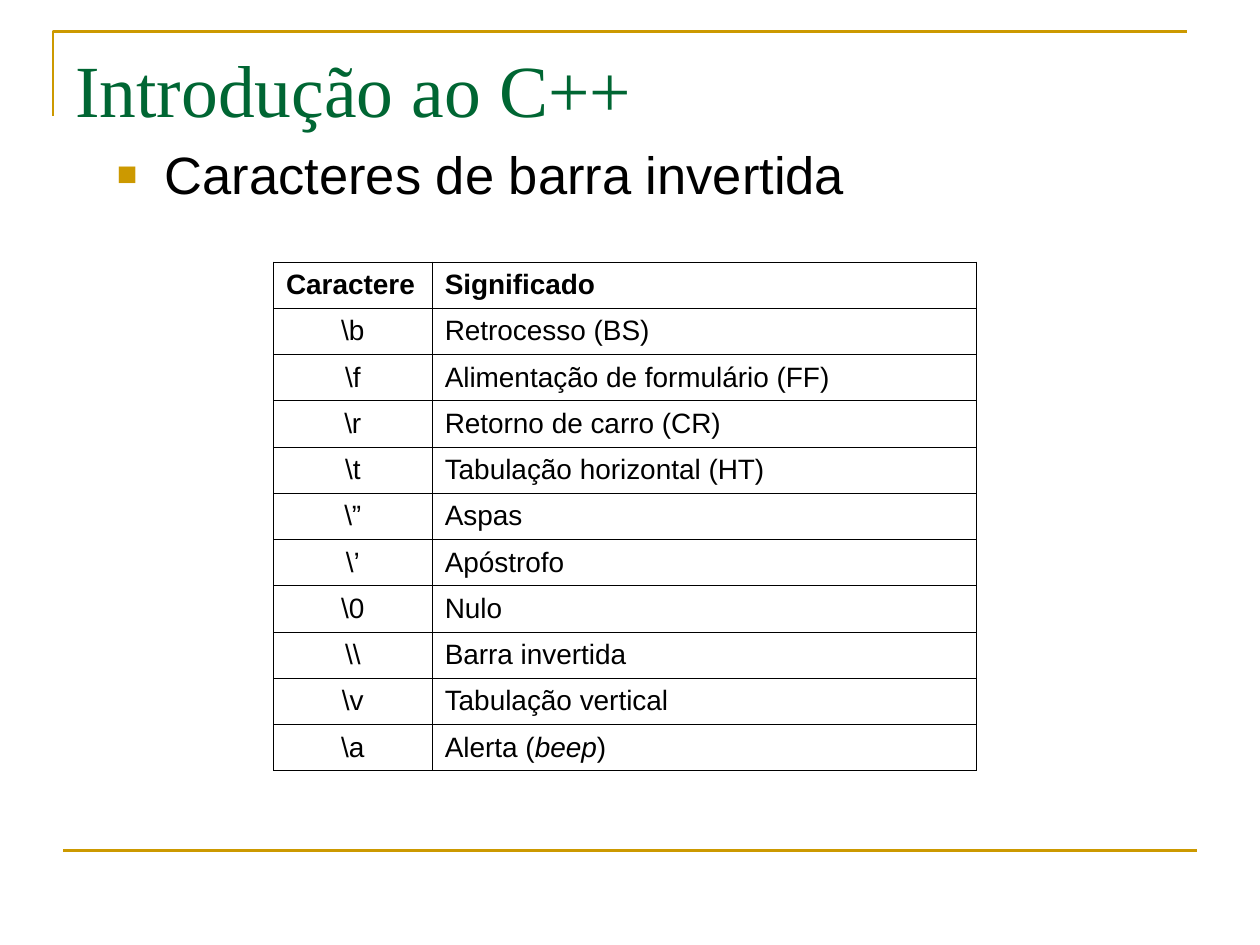
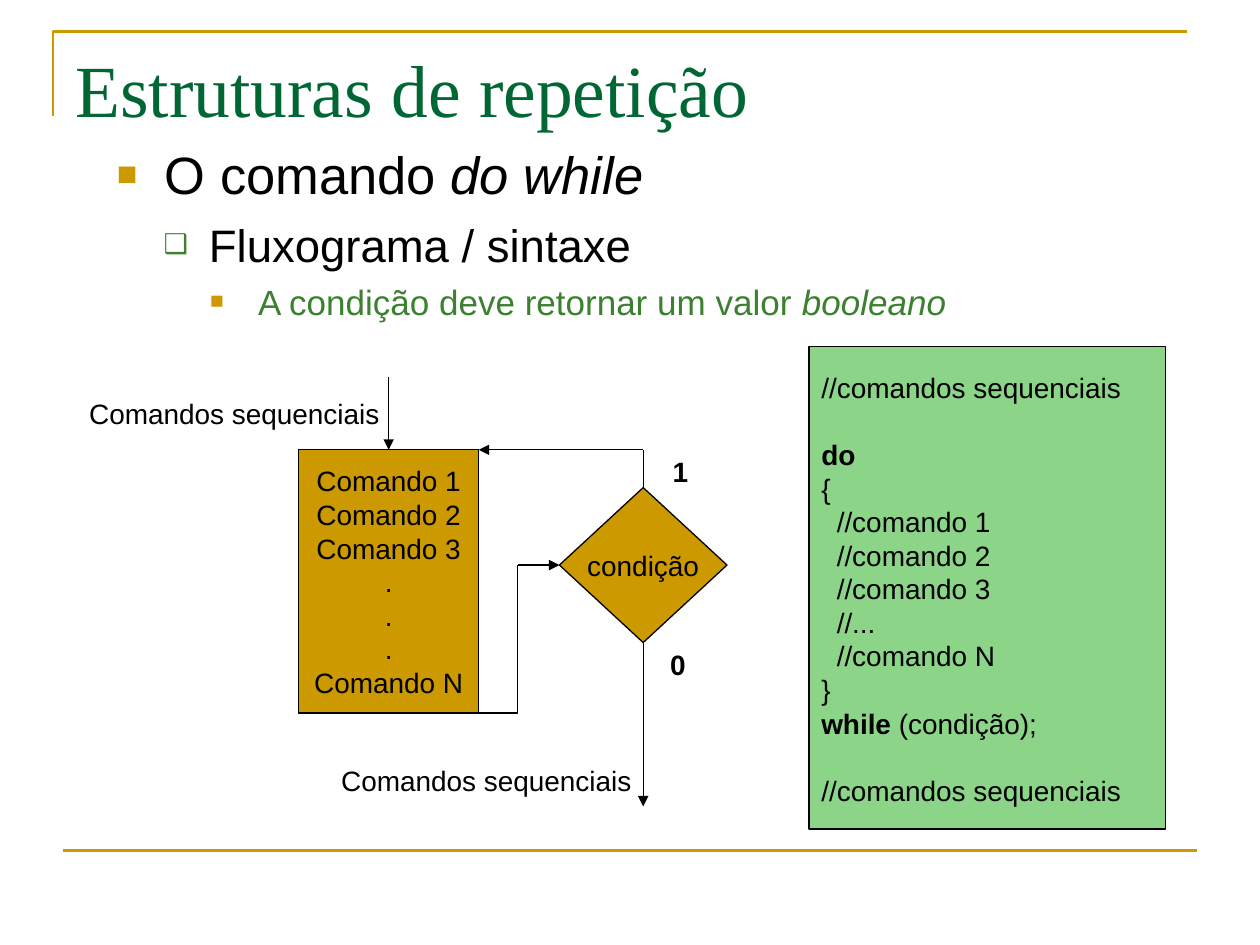
"""Build two C++ course slides: a table of escape characters and the do while flowchart."""
from lxml import etree
from pptx import Presentation
from pptx.dml.color import RGBColor
from pptx.enum.shapes import MSO_CONNECTOR, MSO_SHAPE
from pptx.enum.text import MSO_ANCHOR, PP_ALIGN
from pptx.oxml import parse_xml
from pptx.oxml.ns import nsdecls, qn
from pptx.util import Inches, Pt

GOLD, DARK_GREEN, GREEN, LIGHT_GREEN, BLACK = "CC9900", "006633", "3B812F", "8CD488", "000000"
LINE_HEIGHT = 1.2
CODE_SIZE = 16


def write(paragraph, text, size=CODE_SIZE, color=BLACK, font="Arial", emphasis="italic", align=None):
    """Write text in a paragraph, emphasising the parts between bars."""
    for index, part in enumerate(text.split("|")):
        if part:
            run = paragraph.add_run()
            run.text = part
            run.font.size = Pt(size)
            run.font.name = font
            run.font.color.rgb = RGBColor.from_string(color)
            if index % 2:
                setattr(run.font, emphasis, True)
    paragraph.line_spacing = Pt(round(size * LINE_HEIGHT, 1))
    paragraph.alignment = align


def add_line(slide, start, end, color=BLACK, width=0.75, arrow=True):
    """Draw a straight line, with an arrowhead at its end if asked."""
    line = slide.shapes.add_connector(MSO_CONNECTOR.STRAIGHT, *start, *end)
    line.line.color.rgb = RGBColor.from_string(color)
    line.line.width = Pt(width)
    if arrow:
        etree.SubElement(line.line._get_or_add_ln(), qn("a:tailEnd"), type="triangle")
    etree.SubElement(line._element.spPr, qn("a:effectLst"))
    return line


prs = Presentation()
prs.slide_width, prs.slide_height = Inches(10), Inches(7.5)

levels = [
    (0.38, -0.38, 0, "■", GOLD, 65, 30, BLACK),
    (0.73, -0.36, 6.5, "❑", GREEN, 60, 26, BLACK),
    (1.12, -0.38, 5, "■", GOLD, 65, 20, GREEN),
]
contents = [
    ("Introdução ao C++", ["Caracteres de barra invertida"]),
    ("Estruturas de repetição", [
        "O comando |do while|",
        "Fluxograma / sintaxe",
        "A condição deve retornar um valor |booleano|",
    ]),
]

for heading, topics in contents:
    slide = prs.slides.add_slide(prs.slide_layouts[6])
    outline = slide.shapes.build_freeform(Inches(0.42), Inches(0.92))
    outline.add_line_segments([(Inches(0.42), Inches(0.25)), (Inches(9.42), Inches(0.25))], close=False)
    corner = outline.convert_to_shape()
    corner.fill.background()
    corner.line.color.rgb = RGBColor.from_string(GOLD)
    corner.line.width = Pt(1.5)
    corner.shadow.inherit = False
    add_line(slide, (Inches(0.5), Inches(6.75)), (Inches(9.5), Inches(6.75)), GOLD, 1.5, arrow=False)

    title = slide.shapes.add_textbox(Inches(0.5), Inches(0.3), Inches(9), Inches(1.25)).text_frame
    title.word_wrap = True
    write(title.paragraphs[0], heading, 42, DARK_GREEN, "Times New Roman")

    body = slide.shapes.add_textbox(Inches(0.83), Inches(1.08), Inches(9.17), Inches(5.58)).text_frame
    body.word_wrap = True
    for level, topic in enumerate(topics):
        left, hang, before, bullet, bullet_color, percent, size, color = levels[level]
        paragraph = body.paragraphs[0] if level == 0 else body.add_paragraph()
        paragraph.level = level
        properties = paragraph._p.get_or_add_pPr()
        properties.set("marL", str(Inches(left)))
        properties.set("indent", str(Inches(hang)))
        bullet_tint = etree.SubElement(properties, qn("a:buClr"))
        etree.SubElement(bullet_tint, qn("a:srgbClr"), val=bullet_color)
        etree.SubElement(properties, qn("a:buSzPct"), val=str(percent * 1000))
        etree.SubElement(properties, qn("a:buFont"), typeface="Arial")
        etree.SubElement(properties, qn("a:buChar"), char=bullet)
        write(paragraph, topic, size, color)
        paragraph.space_before = Pt(before)

characters_slide, loop_slide = prs.slides

characters = [
    ("|Caractere|", "|Significado|"),
    ("\\b", "Retrocesso (BS)"),
    ("\\f", "Alimentação de formulário (FF)"),
    ("\\r", "Retorno de carro (CR)"),
    ("\\t", "Tabulação horizontal (HT)"),
    ("\\”", "Aspas"),
    ("\\’", "Apóstrofo"),
    ("\\0", "Nulo"),
    ("\\\\", "Barra invertida"),
    ("\\v", "Tabulação vertical"),
    ("\\a", "Alerta (|beep|)"),
]
table = characters_slide.shapes.add_table(
    len(characters), 2, Inches(2.17), Inches(2.08), Inches(5.58), Inches(4.04)).table
table.first_row = table.horz_banding = False
table.columns[0].width, table.columns[1].width = Inches(1.26), Inches(4.32)
for row, entry in enumerate(characters):
    for column, text in enumerate(entry):
        cell = table.cell(row, column)
        cell.margin_top = Inches(0.04)
        cell.fill.background()
        for position, side in enumerate(("lnL", "lnR", "lnT", "lnB")):
            cell._tc.get_or_add_tcPr().insert(position, parse_xml(
                f'<a:{side} {nsdecls("a")} w="{Pt(0.45)}"><a:solidFill>'
                f'<a:srgbClr val="{BLACK}"/></a:solidFill></a:{side}>'))
        centred = row > 0 and column == 0
        write(cell.text_frame.paragraphs[0], text,
              emphasis="italic" if row else "bold",
              align=PP_ALIGN.CENTER if centred else PP_ALIGN.JUSTIFY)

blocks = [
    (MSO_SHAPE.RECTANGLE, 6.42, 2.75, 2.83, 3.83, LIGHT_GREEN, []),
    (MSO_SHAPE.RECTANGLE, 2.37, 3.57, 1.43, 2.09, GOLD,
     ["Comando 1", "Comando 2", "Comando 3", ".", ".", ".", "Comando N"]),
    (MSO_SHAPE.DIAMOND, 4.44, 3.87, 1.33, 1.23, GOLD, ["condição"]),
]
drawn = []
for kind, left, top, width, height, color, lines in blocks:
    block = loop_slide.shapes.add_shape(kind, Inches(left), Inches(top), Inches(width), Inches(height))
    block.fill.solid()
    block.fill.fore_color.rgb = RGBColor.from_string(color)
    block.line.color.rgb = RGBColor.from_string(BLACK)
    block.line.width = Pt(0.75)
    block.shadow.inherit = False
    frame = block.text_frame
    frame.word_wrap = False
    frame.vertical_anchor = MSO_ANCHOR.MIDDLE
    for index, text in enumerate(lines):
        paragraph = frame.add_paragraph() if index else frame.paragraphs[0]
        write(paragraph, text, align=PP_ALIGN.CENTER)
    drawn.append(block)
code_panel, commands, condition = drawn

code_lines = [
    "//comandos sequenciais", "|do|", "{", "  //comando 1", "  //comando 2", "  //comando 3",
    "  //...", "  //comando N", "}", "|while |(condição);", "//comandos sequenciais",
]
code = loop_slide.shapes.add_textbox(Inches(6.42), Inches(2.89), Inches(2.92), Inches(3.57)).text_frame
code.word_wrap = True
for index, text in enumerate(code_lines):
    paragraph = code.add_paragraph() if index else code.paragraphs[0]
    write(paragraph, text, emphasis="bold")
    if index in (1, len(code_lines) - 1):
        paragraph.space_before = Pt(CODE_SIZE * LINE_HEIGHT)

labels = [
    ("Comandos sequenciais", 0.56, 3.1, 2.6),
    ("Comandos sequenciais", 2.56, 6.01, 2.6),
    ("|0|", 5.02, 5.09, 0.72),
    ("|1|", 5.24, 3.56, 0.32),
]
for text, left, top, width in labels:
    label = loop_slide.shapes.add_textbox(Inches(left), Inches(top), Inches(width), Inches(0.37)).text_frame
    label.word_wrap = False
    write(label.paragraphs[0], text, emphasis="bold", align=PP_ALIGN.CENTER)

commands_x = commands.left + commands.width // 2
commands_right = commands.left + commands.width
commands_bottom = commands.top + commands.height
condition_x = condition.left + condition.width // 2
condition_y = condition.top + condition.height // 2
turn_x = Inches(4.11)

entry_arrow = add_line(loop_slide, (commands_x, Inches(2.99)), (commands_x, commands.top))
entry_arrow.end_connect(commands, 0)
exit_arrow = add_line(loop_slide, (condition_x, condition.top + condition.height), (condition_x, Inches(6.4)))
exit_arrow.begin_connect(condition, 2)
add_line(loop_slide, (condition_x, commands.top), (commands_right, commands.top))
repeat_line = add_line(loop_slide, (condition_x, commands.top), (condition_x, condition.top), arrow=False)
repeat_line.end_connect(condition, 0)
test_arrow = add_line(loop_slide, (turn_x, condition_y), (condition.left, condition_y))
test_arrow.end_connect(condition, 1)

route = loop_slide.shapes.build_freeform(commands_right, commands_bottom)
route.add_line_segments([(turn_x, commands_bottom), (turn_x, condition_y)], close=False)
test_route = route.convert_to_shape()
test_route.fill.background()
test_route.line.color.rgb = RGBColor.from_string(BLACK)
test_route.line.width = Pt(0.75)
test_route.shadow.inherit = False

prs.save("out.pptx")
